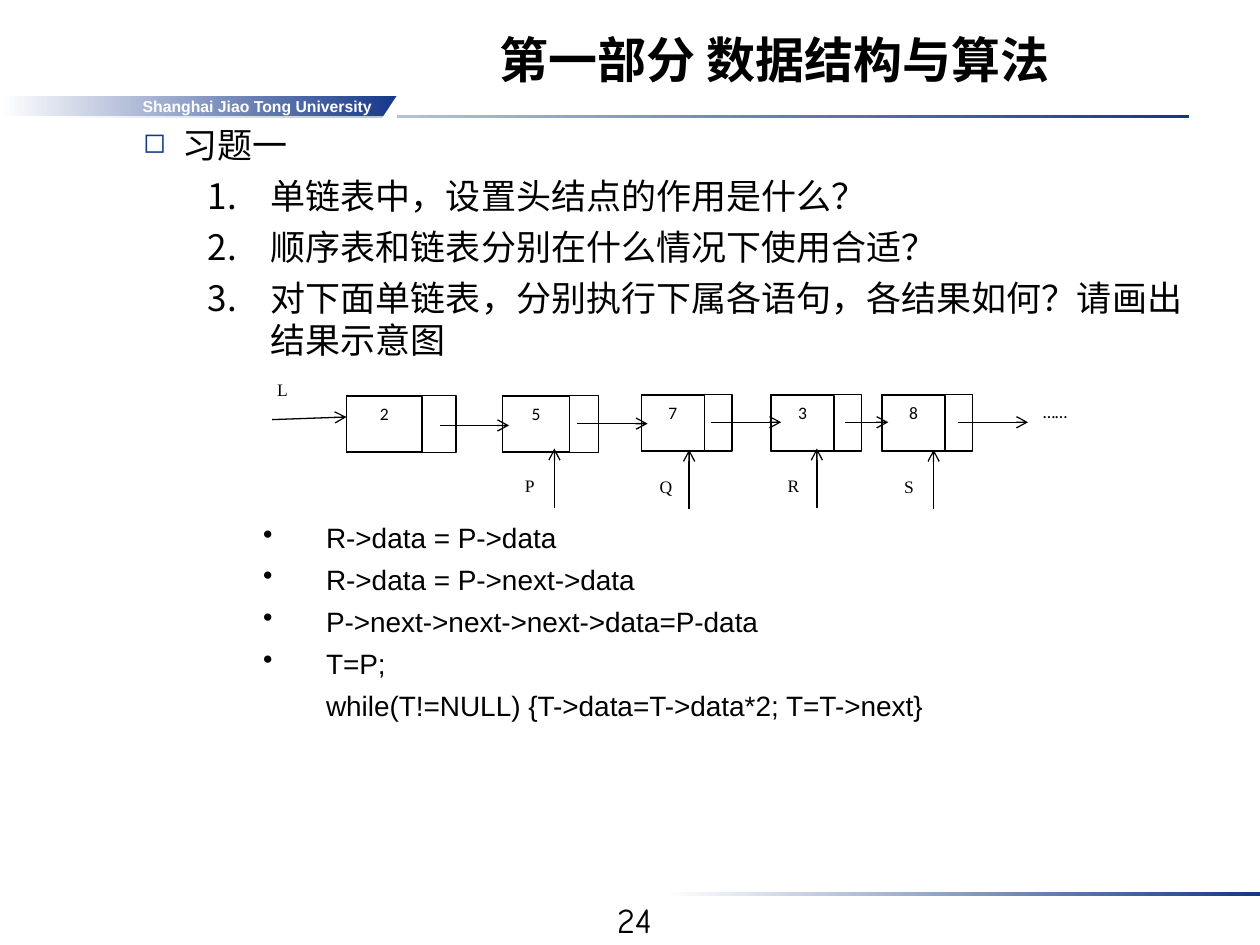
"""Build the slide with the singly linked list exercises."""
from lxml import etree
from pptx import Presentation
from pptx.dml.color import RGBColor
from pptx.enum import shapes, text
from pptx.oxml import ns
from pptx.util import Pt

COLORS = {"ink": "000000", "paper": "FFFFFF", "rule": "133984", "brand": "16388A"}

TITLE = "第一部分 数据结构与算法"
SCHOOL = "Shanghai Jiao Tong University"
PAGE = "24"

HEADING = {"words": "习题一", "margin": 72, "indent": -22.5, "bullet": "◻", "spacing": 1.1}
QUESTIONS = [
    "单链表中，设置头结点的作用是什么？",
    "顺序表和链表分别在什么情况下使用合适？",
    "对下面单链表，分别执行下属各语句，各结果如何？请画出结果示意图",
]
STATEMENTS = [
    "R->data = P->data",
    "R->data = P->next->data",
    "P->next->next->next->data=P-data",
    "T=P;",
]
LOOP = "while(T!=NULL) {T->data=T->data*2; T=T->next}"

# value, left, top, width, width of the data field
NODES = [
    ("2", 198, 226, 62.6, 43.2),
    ("5", 287.3, 226, 54.7, 38.2),
    ("7", 366.5, 225.4, 51.8, 36),
    ("3", 440.6, 225.4, 51.8, 36),
    ("8", 504, 225.4, 51.8, 36),
]
NODE_HEIGHT = 32.4
LINKS = [(251.3, 290.9, 243.1), (329.8, 370.1, 242.1), (406.1, 446.4, 241.3),
         (483.1, 507.6, 241.3), (547.2, 587.5, 241.3)]
POINTERS = [("P", 316.8, 256.3), ("Q", 393.8, 257), ("R", 466.8, 256.3), ("S", 533.5, 257)]

deck = Presentation()
deck.slide_width, deck.slide_height = Pt(720), Pt(540)
slide = deck.slides.add_slide(deck.slide_layouts[6])


def rgb(name):
    return RGBColor.from_string(COLORS[name])


def add_box(box, fill=None, line=None, preset=shapes.MSO_SHAPE.RECTANGLE):
    part = slide.shapes.add_shape(preset, *map(Pt, box))
    part.shadow.inherit = False
    if isinstance(fill, tuple):
        part.fill.gradient()
        part.fill.gradient_angle = 0
        for stop, name in zip(part.fill.gradient_stops, fill):
            stop.color.rgb = rgb(name)
    else:
        part.fill.solid()
        part.fill.fore_color.rgb = rgb(fill)
    if line:
        part.line.color.rgb = rgb(line)
        part.line.width = Pt(0.75)
    else:
        part.line.fill.background()
    return part


def add_arrow(x1, y1, x2, y2):
    arrow = slide.shapes.add_connector(shapes.MSO_CONNECTOR.STRAIGHT, *map(Pt, (x1, y1, x2, y2)))
    arrow.line.color.rgb = rgb("ink")
    arrow.line.width = Pt(0.75)
    etree.SubElement(arrow.line._get_or_add_ln(), ns.qn("a:tailEnd"), type="arrow")
    etree.SubElement(arrow._element.spPr, ns.qn("a:effectLst"))


def add_bullet(paragraph, margin, indent, bullet=None):
    props = paragraph._p.get_or_add_pPr()
    props.set("marL", str(Pt(margin)))
    props.set("indent", str(Pt(indent)))
    if bullet == "◻":
        color = etree.SubElement(props, ns.qn("a:buClr"))
        etree.SubElement(color, ns.qn("a:srgbClr"), val=COLORS["brand"])
        etree.SubElement(props, ns.qn("a:buSzPct"), val="80000")
    if bullet == "1.":
        etree.SubElement(props, ns.qn("a:buAutoNum"), type="arabicPeriod")
    elif bullet:
        etree.SubElement(props, ns.qn("a:buChar"), char=bullet)
    else:
        etree.SubElement(props, ns.qn("a:buNone"))


def write(items, box=None, part=None, size=10, font="Arial", color="ink", bold=False,
          align="LEFT", anchor="TOP", gap=0, wrap=True, right=7.2):
    part = part or slide.shapes.add_textbox(*map(Pt, box))
    frame = part.text_frame
    frame.word_wrap = wrap
    frame.vertical_anchor = getattr(text.MSO_ANCHOR, anchor)
    frame.margin_left, frame.margin_right = Pt(7.2), Pt(right)
    frame.margin_top = frame.margin_bottom = Pt(3.6)
    for number, item in enumerate([{"words": items}] if isinstance(items, str) else items):
        paragraph = frame.add_paragraph() if number else frame.paragraphs[0]
        paragraph.alignment = getattr(text.PP_ALIGN, align)
        paragraph.line_spacing = item.get("spacing")
        if number:
            paragraph.space_before = Pt(gap)
        if "margin" in item:
            add_bullet(paragraph, item["margin"], item["indent"], item.get("bullet"))
        run = paragraph.add_run()
        run.text = item["words"]
        run.font.size, run.font.name, run.font.bold = Pt(size), font, bold
        run.font.color.rgb = rgb(color)


add_box((22.3, 65.5, 657.4, 2.2), ("paper", "rule"))
add_box((380.2, 509.8, 339.8, 2.2), ("paper", "rule"))
band = add_box((0, 54.7, 226.8, 11.5), ("paper", "brand"))
write(SCHOOL, part=band, size=9, color="paper", bold=True, align="RIGHT",
      anchor="MIDDLE", wrap=False, right=14.4)
corner = add_box((218.2, 54.7, 8.6, 13), "paper", preset=shapes.MSO_SHAPE.RIGHT_TRIANGLE)
corner._element.spPr.xfrm.set("flipH", "1")

write(PAGE, (278.6, 509.8, 167.8, 20.9), size=20, font="Comic Neue", align="CENTER")
write(TITLE, (186.5, 0, 511.9, 54), size=28, bold=True, align="CENTER", anchor="BOTTOM")

numbered = [{"words": q, "margin": 122.4, "indent": -36, "bullet": "1."} for q in QUESTIONS]
write([HEADING] + numbered, (25.2, 64.8, 666, 145), size=20, gap=5)
bulleted = [{"words": s, "margin": 154, "indent": -36, "bullet": "•"} for s in STATEMENTS]
write(bulleted + [{"words": LOOP, "margin": 154, "indent": 0}],
      (25.2, 294, 666, 125), size=16, gap=4.8)

write("……", (589, 225.4, 47.5, 19.4), font="Calibri")
write("L", (151.2, 213.1, 29.5, 19.4), font="Times New Roman")
add_arrow(155.5, 239.8, 198, 238.3)
for value, left, top, width, data_width in NODES:
    add_box((left, top, width, NODE_HEIGHT), "paper", "ink")
    data = add_box((left, top + 0.7, data_width, NODE_HEIGHT - 0.7), "paper", "ink")
    write(value, part=data, font="Calibri", align="CENTER")
for start, end, y in LINKS:
    add_arrow(start, y, end, y)
for name, x, tip in POINTERS:
    add_arrow(x, tip + 33.9, x, tip)
    write(name, (x - 23.9, tip + 11.5, 29.5, 19.4), font="Times New Roman")

deck.save("out.pptx")
